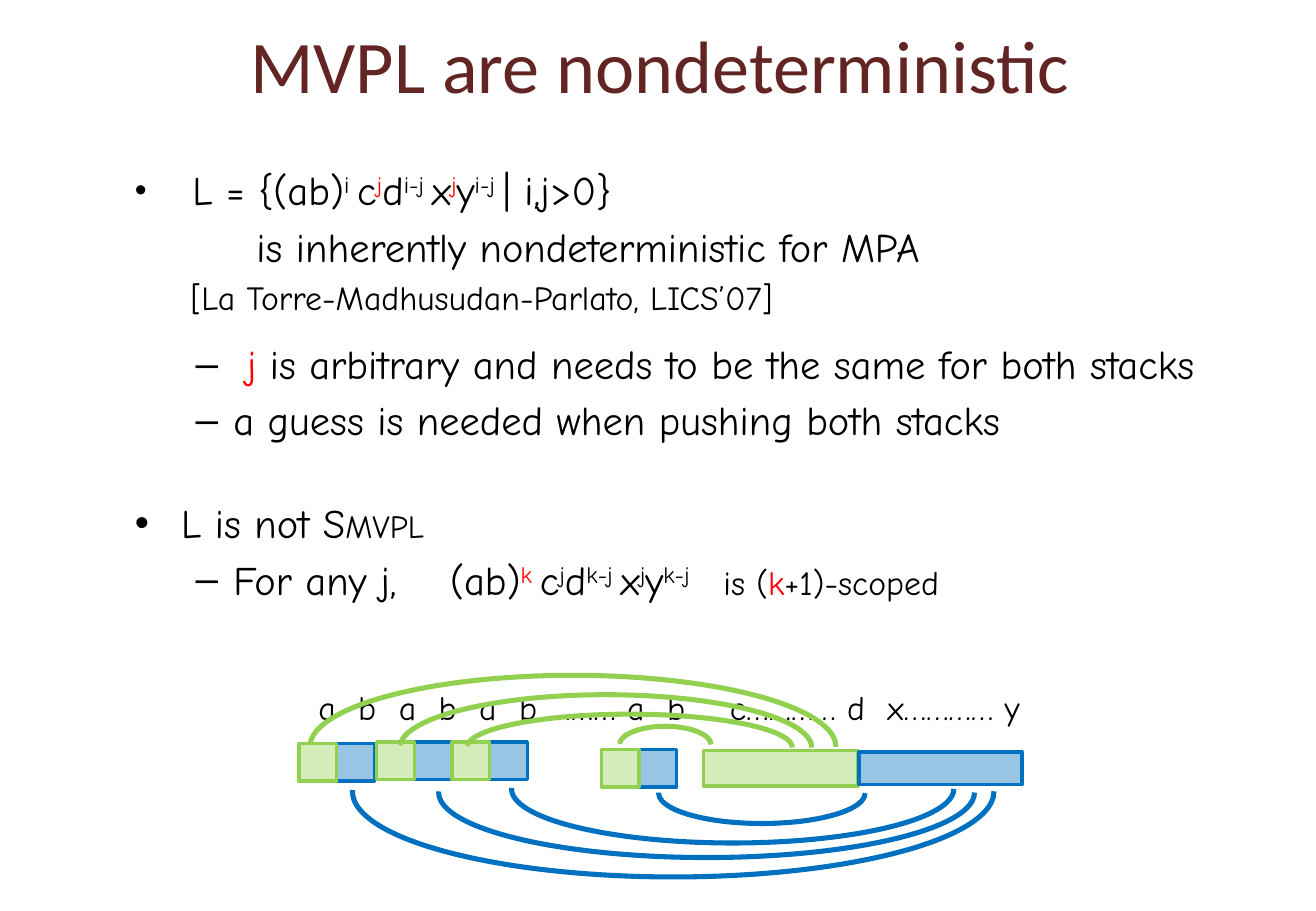
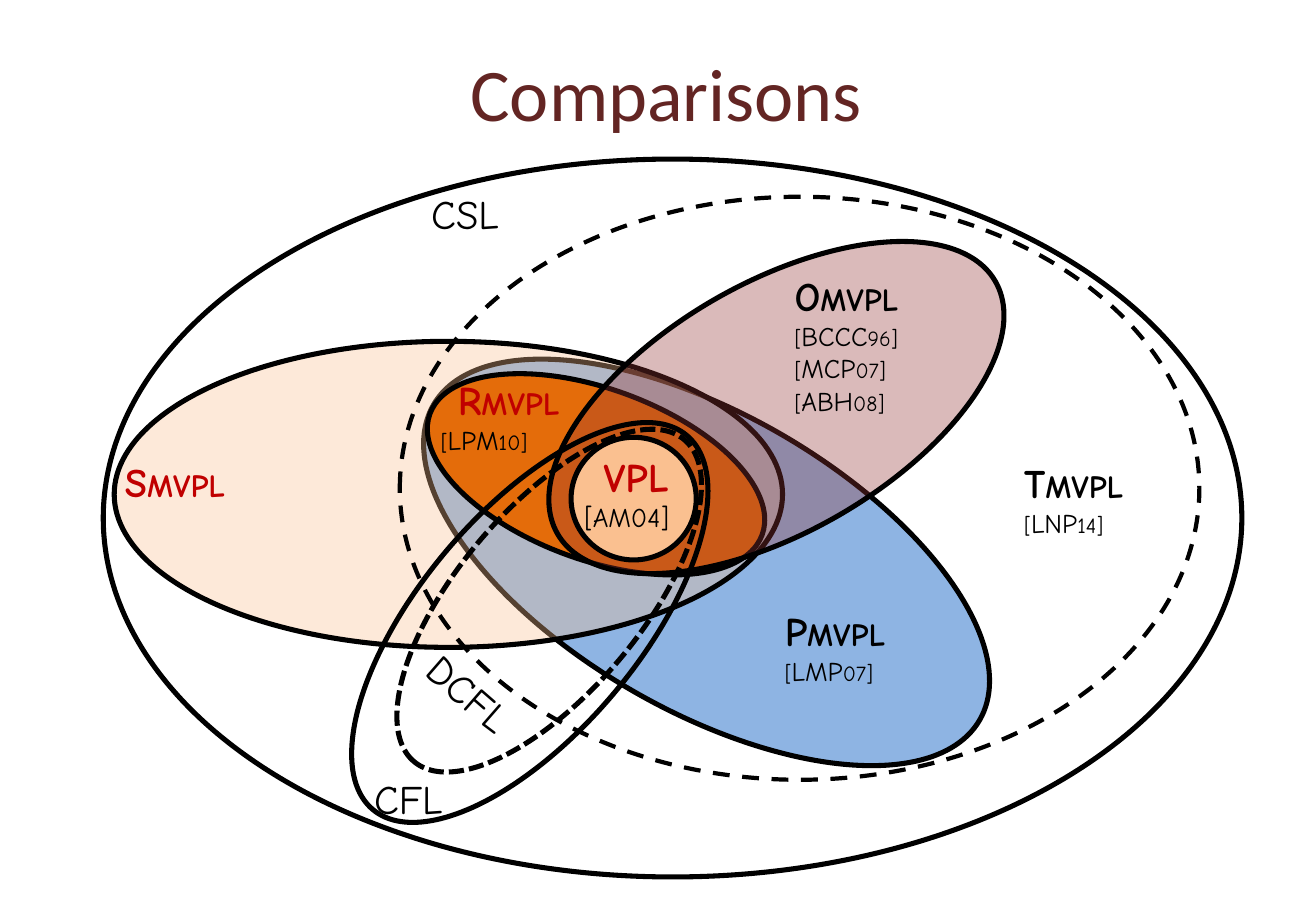
from lxml.etree import SubElement
from pptx import Presentation
from pptx.dml.color import RGBColor
from pptx.enum.dml import MSO_LINE
from pptx.enum.shapes import MSO_SHAPE
from pptx.enum.text import MSO_ANCHOR, MSO_AUTO_SIZE, PP_ALIGN
from pptx.oxml.ns import qn
from pptx.util import Inches, Pt

COLORS = {
    "title": "632523", "black": "000000", "red": "FF0000", "crimson": "C00000",
    "green": "92D050", "blue": "0070C0", "sky": "8EB4E3", "peach": "FAC090",
    "orange": "E46C0A", "maroon": "953735",
}
TEXT_FONT = "Comic Neue"


def write(para, spans, **shared):
    for text, changes in spans:
        look = {"size": 24, "color": "black", "bold": False, **shared, **changes}
        span = para.add_run()
        span.text = text
        font_values = {"name": TEXT_FONT, "size": Pt(look["size"]), "bold": look["bold"]}
        for name, value in font_values.items():
            setattr(span.font, name, value)
        span.font.color.rgb = RGBColor.from_string(COLORS[look["color"]])
        for name in ("baseline", "cap", "spc"):
            if name in look:
                span._r.get_or_add_rPr().set(name, look[name])


def draw(page, kind, place, line="black", width=3, fill=None, alpha=None,
         dash=None, rotation=0, angles=()):
    shape = page.shapes.add_shape(kind, *map(Inches, place))
    shape.shadow.inherit = False
    shape.rotation = rotation
    shape.line.color.rgb = RGBColor.from_string(COLORS[line])
    shape.line.width = Pt(width)
    if dash:
        shape.line.dash_style = dash
    for number, angle in enumerate(angles):
        shape.adjustments[number] = angle
    if fill:
        shape.fill.solid()
        shape.fill.fore_color.rgb = RGBColor.from_string(COLORS[fill])
    else:
        shape.fill.background()
    if alpha:
        color = shape._element.spPr.find(qn("a:solidFill"))[0]
        SubElement(color, qn("a:alpha")).set("val", str(alpha * 1000))


deck = Presentation()
deck.slide_width, deck.slide_height = Inches(10.83), Inches(7.5)

pages = []
for layout, heading, place in [
    (1, "MVPL are nondeterministic", (0.56, 0.06, 9.75, 0.93)),
    (5, "Comparisons", (0.61, 0.13, 9.75, 1.25)),
]:
    page = deck.slides.add_slide(deck.slide_layouts[layout])
    title = page.shapes.title
    title.left, title.top, title.width, title.height = map(Inches, place)
    title.text_frame.text = heading
    title.text_frame.vertical_anchor = MSO_ANCHOR.MIDDLE
    para = title.text_frame.paragraphs[0]
    para.alignment = PP_ALIGN.CENTER
    for name, value in {"name": "Calibri", "size": Pt(44)}.items():
        setattr(para.font, name, value)
        setattr(para.runs[0].font, name, value)
    para.runs[0].font.color.rgb = RGBColor.from_string(COLORS["title"])
    pages.append(page)
language_page, comparison_page = pages

plain = {}
red = {"color": "red"}
raised = {"baseline": "30000"}
red_raised = {**red, **raised}
small = {"size": 20}
wide = {"size": 20, "spc": "660"}
widest = {"size": 20, "spc": "1980"}

word = []
for letter in "ababa":
    word += [(letter, small), (" ", wide)]
word += [("b ……… a", small), (" ", wide), ("b", small), (" ", widest),
         ("c………… d", small), (" ", wide), ("x………… y", small)]

lines = [
    (0, 0.38, -0.38, True, None, [
        (" ", small), ("L = {(ab)", plain), ("i ", raised), ("c", plain),
        ("j", red_raised), ("d", plain), ("i-j ", raised), ("x", plain),
        ("j", red_raised), ("y", plain), ("i-j ", raised), ("| i,j>0}", plain)]),
    (0, 1, 0, False, None, [("is inherently nondeterministic for MPA", plain)]),
    (0, 0.46, 0, False, None, [("[La Torre-Madhusudan-Parlato, LICS’07]", small)]),
    (1, 0.81, -0.31, True, 12.5, [
        (" ", plain), ("j", red),
        (" is arbitrary and needs to be the same for both stacks", plain)]),
    (1, 0.81, -0.31, True, None, [("a guess is needed when pushing both stacks", plain)]),
    (0, 0.38, -0.38, True, 32, [("L is not ", plain), ("Smvpl", {"cap": "small"})]),
    (1, 0.81, -0.31, True, None, [
        ("For any j,", plain), (" ", {"spc": "2370"}), ("(ab)", plain),
        ("k ", red_raised), ("c", plain), ("j", raised), ("d", plain),
        ("k-j ", raised), ("x", plain), ("j", raised), ("y", plain),
        ("k-j", raised), (" ", {"size": 20, "spc": "1320"}), ("is (", small),
        ("k", {**red, **small}), ("+1)-scoped", small)]),
    (1, 1.51, 0, False, 49.5, word),
]

body = language_page.placeholders[1]
body.left, body.top, body.width, body.height = map(Inches, (1.01, 1.31, 9.13, 5.26))
frame = body.text_frame
frame.auto_size = MSO_AUTO_SIZE.NONE
frame.vertical_anchor = MSO_ANCHOR.TOP
for number, (level, margin, indent, bullet, gap, spans) in enumerate(lines):
    para = frame.add_paragraph() if number else frame.paragraphs[0]
    para.level = level
    if gap:
        para.space_before = Pt(gap)
    properties = para._p.get_or_add_pPr()
    properties.set("marL", str(Inches(margin)))
    properties.set("indent", str(Inches(indent)))
    if not bullet:
        SubElement(properties, qn("a:buNone"))
    write(para, spans)

cell = 0.31
blocks = []
for left, top in [(4.95, 6.17), (2.46, 6.12), (3.1, 6.11), (3.72, 6.11)]:
    blocks += [("blue", (left + cell, top, cell, cell)), ("green", (left, top, cell, cell))]
blocks += [("green", (5.79, 6.18, 1.27, 0.29)), ("blue", (7.07, 6.19, 1.34, 0.27))]
for color, place in blocks:
    draw(language_page, MSO_SHAPE.RECTANGLE, place, color, 2, color, 40)

stack_arcs = {
    "green": ((108.4, 0), [(5.1, 5.98, 0.75, 0.3), (3.84, 5.88, 2.68, 0.55),
                           (3.29, 5.72, 3.39, 0.87), (2.55, 5.56, 4.33, 1.18)]),
    "blue": ((0, 108.14), [(2.9, 5.81, 5.28, 1.41), (3.61, 5.99, 4.41, 1.07),
                           (4.21, 6.05, 3.64, 0.89), (5.42, 6.28, 1.7, 0.5)]),
}
for color, (angles, places) in stack_arcs.items():
    for place in places:
        draw(language_page, MSO_SHAPE.ARC, place, color, angles=angles)

for place, look in [
    ((0.85, 1.31, 9.37, 5.91), {}),
    ((3.22, 3.41, 5.19, 2.44), {"fill": "sky", "rotation": 30}),
    ((0.94, 2.81, 5.5, 2.52), {"fill": "peach", "alpha": 34}),
    ((3.45, 3.2, 2.91, 1.41), {"fill": "orange", "rotation": 20}),
    ((4.31, 2.33, 4.16, 2.05), {"fill": "maroon", "alpha": 34, "rotation": 330}),
    ((4.7, 3.6, 1.03, 1.01), {"fill": "peach"}),
    ((2.35, 4.22, 4.02, 1.81), {"rotation": 310}),
    ((2.79, 4.19, 3.46, 1.51), {"rotation": 310, "dash": MSO_LINE.SQUARE_DOT}),
    ((3.29, 1.62, 6.58, 4.8), {"width": 2.5, "dash": MSO_LINE.DASH}),
]:
    draw(comparison_page, MSO_SHAPE.OVAL, place, **look)

small_caps = {"cap": "small"}
strong = {"bold": True, **small_caps}
strong_red = {"color": "crimson", **strong}
for place, name, look, margin, sources, source_look, rotation in [
    ((3.45, 1.51, 0.82, 0.5), "CSL", {}, 0, [], {}, 0),
    ((0.93, 3.71, 1.15, 0.5), "Smvpl", strong_red, 0, [], {}, 0),
    ((3.53, 3.04, 1.36, 0.77), "Rmvpl", strong_red, 0.14, ["[LPM10]"], small_caps, 0),
    ((6.36, 4.94, 1.09, 0.77), "Pmvpl", strong, 0, ["[LMP07]"], small_caps, 0),
    ((4.71, 3.67, 1.01, 0.77), "VPL", {"color": "crimson", "bold": True}, 0.16,
     ["[AM04]"], {}, 0),
    ((6.44, 2.18, 1.19, 1.31), "Omvpl", strong, 0,
     ["[BCCC96]", "[MCP07]", "[ABH08]"], small_caps, 0),
    ((2.98, 6.32, 0.8, 0.5), "CFL", {}, 0, [], {}, 0),
    ((3.37, 5.48, 1.04, 0.5), "DCFL", {}, 0, [], {}, 41),
    ((8.33, 3.72, 1.15, 0.77), "Tmvpl", strong, 0, ["[LNP14]"], small_caps, 0),
]:
    box = comparison_page.shapes.add_textbox(*map(Inches, place))
    box.rotation = rotation
    frame = box.text_frame
    frame.word_wrap = False
    frame.auto_size = MSO_AUTO_SIZE.SHAPE_TO_FIT_TEXT
    para = frame.paragraphs[0]
    para._p.get_or_add_pPr().set("marL", str(Inches(margin)))
    write(para, [(name, look)])
    for source in sources:
        write(frame.add_paragraph(), [(source, source_look)], size=16)

deck.save("out.pptx")
